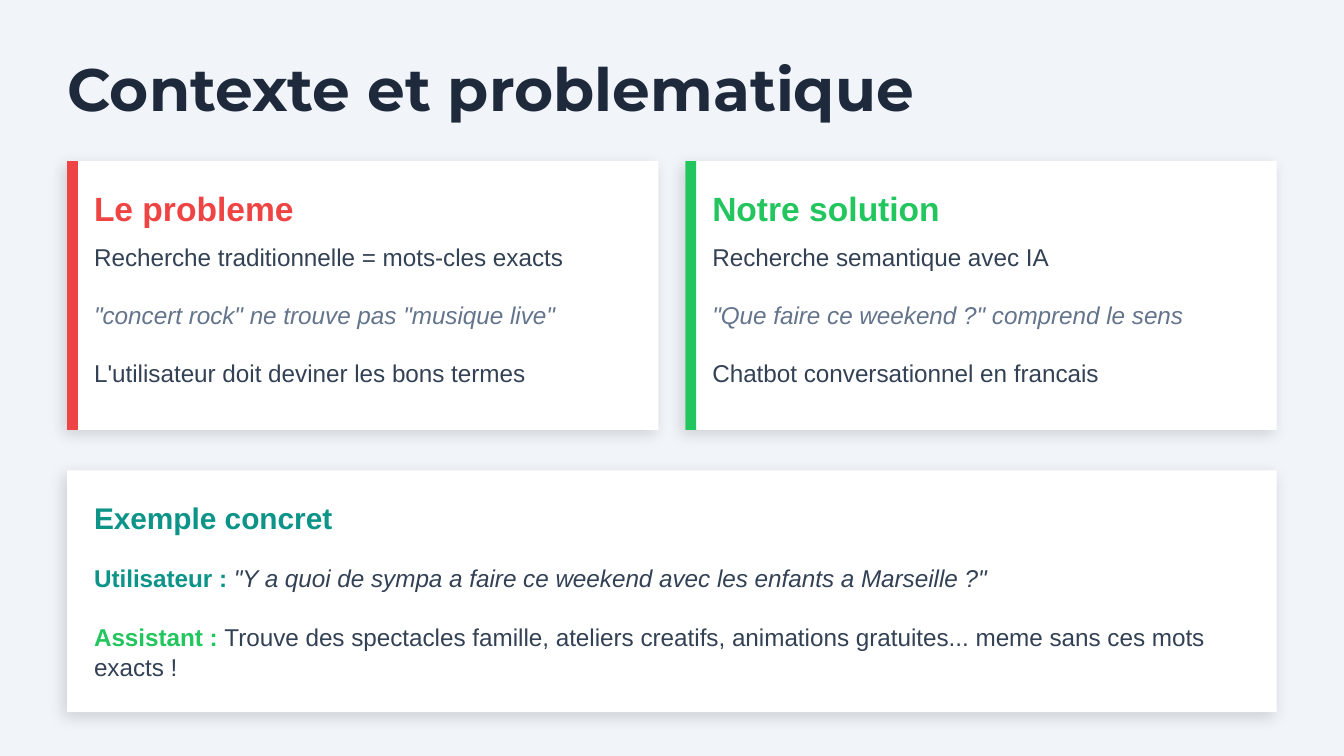
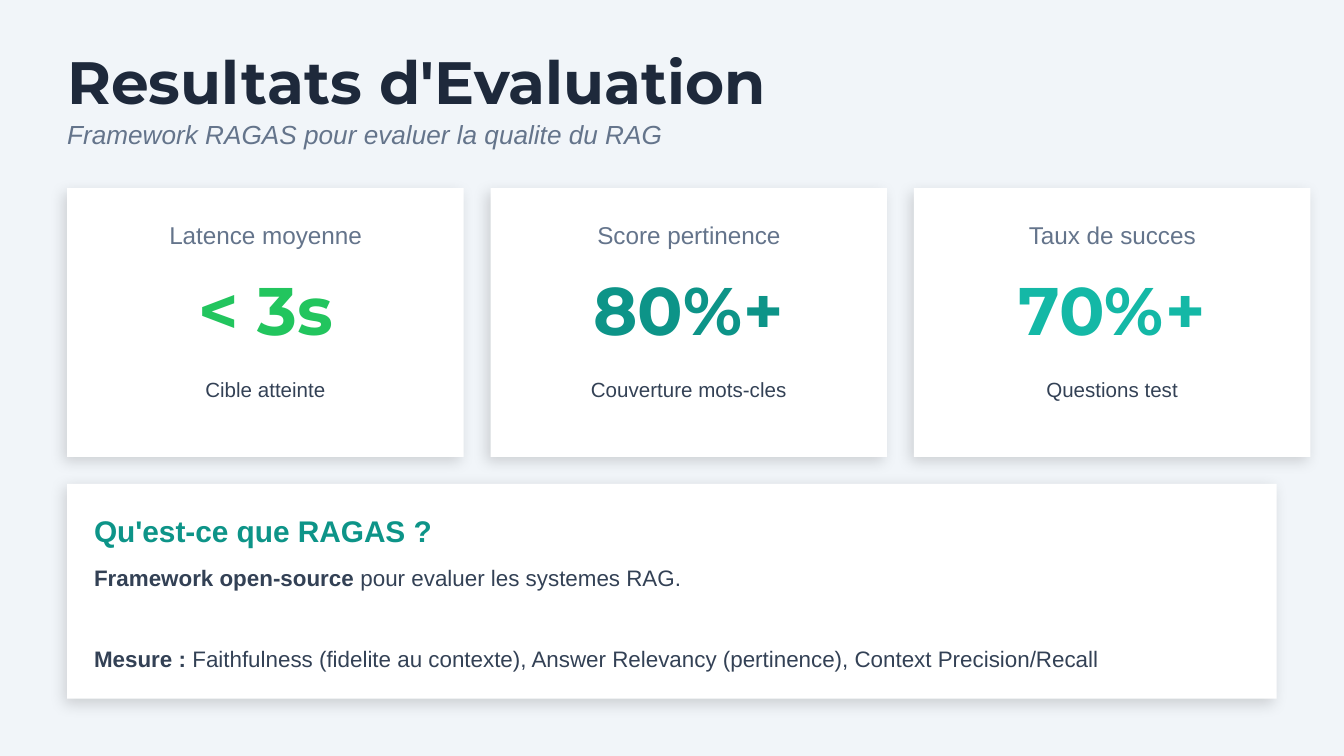
from lxml.etree import SubElement
from pptx import Presentation
from pptx.dml.color import RGBColor
from pptx.enum.shapes import MSO_SHAPE
from pptx.enum.text import MSO_ANCHOR, MSO_AUTO_SIZE, PP_ALIGN
from pptx.oxml.ns import qn
from pptx.util import Inches, Pt

BG, WHITE, NAVY = "F1F5F9", "FFFFFF", "1E293B"
TEXT, MUTED = "334155", "64748B"
RED, GREEN, TEAL, AQUA = "EF4444", "22C55E", "0D9488", "14B8A6"
HEAD, BODY = "Montserrat", "Arial"
LEFT, WIDTH, GAP, PAD = 0.5, 9, 0.2, 0.2


def rgb(value):
    return RGBColor.from_string(value)


def run(text, color=TEXT, bold=False, italic=False):
    return text, color, bold, italic


class Deck:
    def __init__(self):
        self.prs = Presentation()
        self.prs.slide_width, self.prs.slide_height = Inches(10), Inches(5.625)
        fill = self.prs.slide_master.background.fill
        fill.solid()
        fill.fore_color.rgb = rgb(BG)

    def slide(self, layout, title, height):
        self.s = self.prs.slides.add_slide(self.prs.slide_layouts[layout])
        self.bodies = [sp for sp in self.s.placeholders
                       if sp.placeholder_format.idx > 0]
        self.fill_text(self.s.shapes.title, (LEFT, 0.3, WIDTH, height),
                       [[run(title, NAVY, True)]], 32, HEAD)

    def fill_text(self, sp, at, paragraphs, size, font=BODY, align=PP_ALIGN.LEFT,
                  anchor=MSO_ANCHOR.MIDDLE, gap=0):
        sp.left, sp.top, sp.width, sp.height = map(Inches, at)
        tf = sp.text_frame
        tf.word_wrap, tf.auto_size = True, MSO_AUTO_SIZE.NONE
        tf.vertical_anchor = anchor
        tf.margin_left = tf.margin_top = tf.margin_right = tf.margin_bottom = 0
        for i, runs in enumerate(paragraphs):
            p = tf.add_paragraph() if i else tf.paragraphs[0]
            p.alignment, p.line_spacing = align, 1.0
            p.space_before, p.space_after = Pt(gap if i else 0), Pt(0)
            for text, color, bold, italic in runs:
                r = p.add_run()
                r.text = text
                f = r.font
                f.name, f.size, f.bold, f.italic = font, Pt(size), bold, italic
                f.color.rgb = rgb(color)

    def text(self, at, runs, size, **style):
        sp = self.s.shapes.add_textbox(*map(Inches, at))
        self.fill_text(sp, at, [runs], size, **style)

    def body(self, at, paragraphs, size, gap):
        sp = self.bodies.pop(0)
        self.s.shapes.element.append(sp.element)  # in front of its card
        self.fill_text(sp, at, paragraphs, size, anchor=MSO_ANCHOR.TOP, gap=gap)
        for p in sp.text_frame.paragraphs:
            pPr = p._p.get_or_add_pPr()
            pPr.set("marL", "0")
            pPr.set("indent", "0")
            SubElement(pPr, qn("a:buNone"))

    def rect(self, at, color):
        sp = self.s.shapes.add_shape(MSO_SHAPE.RECTANGLE, *map(Inches, at))
        sp.fill.solid()
        sp.fill.fore_color.rgb = rgb(color)
        sp.line.fill.background()
        sp.shadow.inherit = False
        return sp

    def card(self, at, accent=None):
        sp = self.rect(at, WHITE)
        effects = sp.element.spPr.find(qn("a:effectLst"))
        shadow = SubElement(effects, qn("a:outerShdw"), blurRad=str(Pt(8)),
                            dist=str(Pt(3)), dir=str(135 * 60000),
                            algn="bl", rotWithShape="0")
        clr = SubElement(shadow, qn("a:srgbClr"), val="000000")
        SubElement(clr, qn("a:alpha"), val="15000")
        if accent:
            x, y, _, h = at
            self.rect((x, y, 0.08, h), accent)

    def heading(self, x, y, w, text, size, color):
        self.text((x, y, w, 0.4), [run(text, color, True)], size)


def context_slide(d):
    d.slide(3, "Contexte et problematique", 0.7)

    # Problem and solution cards
    cards = [
        ("Le probleme", RED, "Recherche traditionnelle = mots-cles exacts",
         '"concert rock" ne trouve pas "musique live"',
         "L'utilisateur doit deviner les bons termes"),
        ("Notre solution", GREEN, "Recherche semantique avec IA",
         '"Que faire ce weekend ?" comprend le sens',
         "Chatbot conversationnel en francais"),
    ]
    w = (WIDTH - GAP) / 2
    for i, (title, color, first, quote, last) in enumerate(cards):
        x = LEFT + i * (w + GAP)
        d.card((x, 1.2, w, 2), color)
        d.heading(x + PAD, 1.35, 4, title, 18, color)
        d.body((x + PAD, 1.8, 4, 1.3),
               [[run(first)], [run(quote, MUTED, italic=True)], [run(last)]],
               13, gap=15.5)

    # Example dialogue
    x = LEFT + PAD
    d.card((LEFT, 3.5, WIDTH, 1.8))
    d.heading(x, 3.65, 3, "Exemple concret", 16, TEAL)
    d.text((x, 4.1, 8.5, 0.4),
           [run("Utilisateur : ", TEAL, True),
            run('"Y a quoi de sympa a faire ce weekend avec les enfants '
                'a Marseille ?"', italic=True)], 13)
    d.text((x, 4.6, 8.5, 0.5),
           [run("Assistant : ", GREEN, True),
            run("Trouve des spectacles famille, ateliers creatifs, animations "
                "gratuites... meme sans ces mots exacts !")], 13)


def results_slide(d):
    d.slide(1, "Resultats d'Evaluation", 0.6)
    d.text((LEFT, 0.8, WIDTH, 0.4),
           [run("Framework RAGAS pour evaluer la qualite du RAG", MUTED,
                italic=True)], 14)

    # Metric cards
    metrics = [
        ("Latence moyenne", "< 3s", GREEN, "Cible atteinte"),
        ("Score pertinence", "80%+", TEAL, "Couverture mots-cles"),
        ("Taux de succes", "70%+", AQUA, "Questions test"),
    ]
    w, center = 2.95, PP_ALIGN.CENTER
    for i, (label, value, color, note) in enumerate(metrics):
        x = LEFT + i * (w + GAP)
        d.card((x, 1.4, w, 2))
        d.text((x, 1.55, w, 0.4), [run(label, MUTED)], 13, align=center)
        d.text((x, 1.95, w, 0.7), [run(value, color, True)], 36,
               font=HEAD, align=center)
        d.text((x, 2.7, w, 0.4), [run(note)], 11, align=center)

    # Explanation
    x = LEFT + PAD
    d.card((LEFT, 3.6, WIDTH, 1.6))
    d.heading(x, 3.75, 4, "Qu'est-ce que RAGAS ?", 16, TEAL)
    d.body((x, 4.2, 8.5, 0.9),
           [[run("Framework open-source", bold=True),
             run(" pour evaluer les systemes RAG.")],
            [run("Mesure : ", bold=True),
             run("Faithfulness (fidelite au contexte), Answer Relevancy "
                 "(pertinence), Context Precision/Recall")]], 12, gap=29)


def main():
    d = Deck()
    context_slide(d)
    results_slide(d)
    d.prs.save("out.pptx")


if __name__ == "__main__":
    main()
